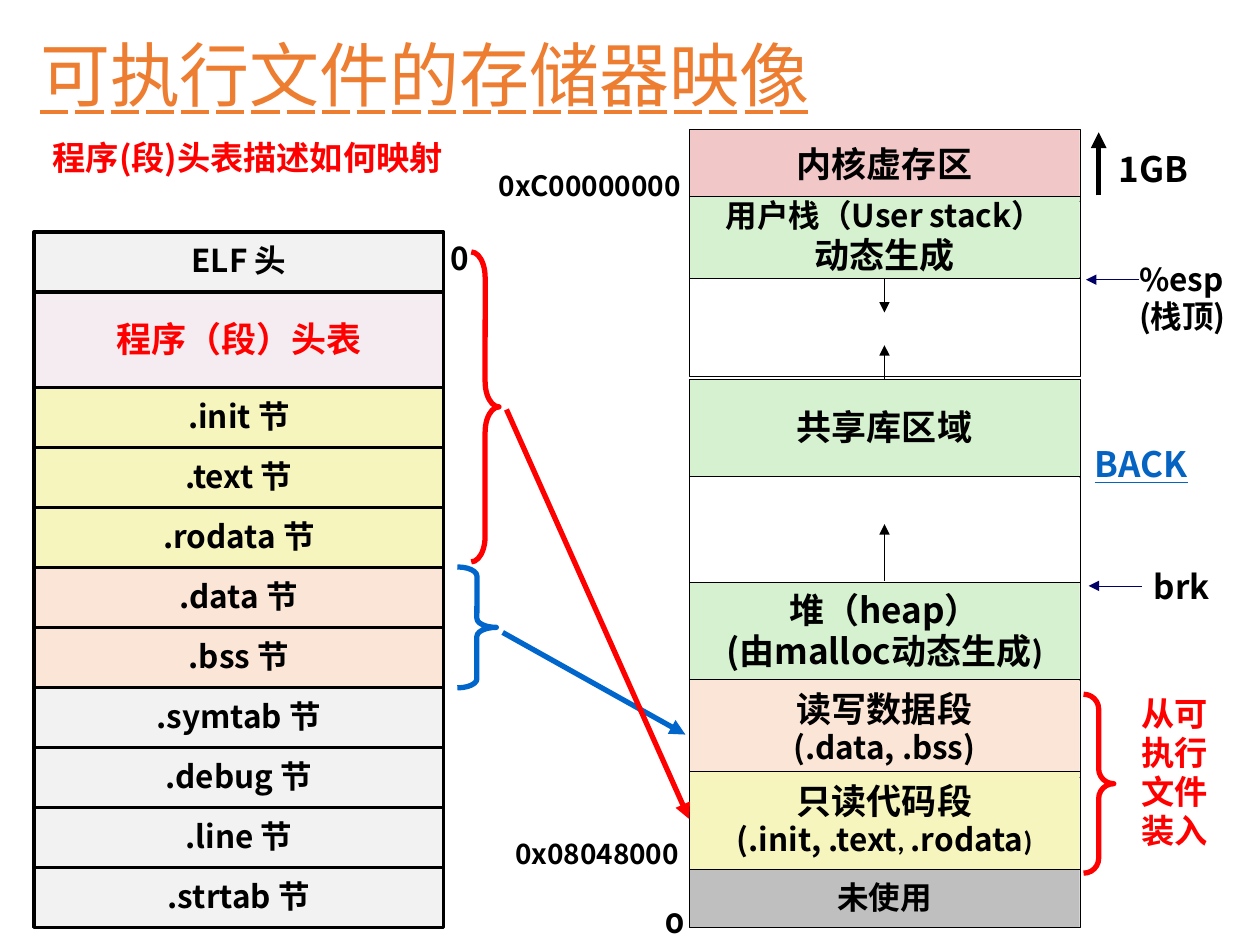
"""Build the slide on the memory image of an executable file."""
import pptx
import pptx.dml.color
import pptx.enum.shapes
import pptx.enum.text
import pptx.oxml.ns
import pptx.util
from lxml import etree

Inches = pptx.util.Inches
Pt = pptx.util.Pt
RGBColor = pptx.dml.color.RGBColor
Shape = pptx.enum.shapes.MSO_SHAPE
Align = pptx.enum.text.PP_ALIGN
qn = pptx.oxml.ns.qn

BLACK = RGBColor(0x00, 0x00, 0x00)
WHITE = RGBColor(0xFF, 0xFF, 0xFF)
RED = RGBColor(0xFF, 0x00, 0x00)
BLUE = RGBColor(0x00, 0x66, 0xCC)
NAVY = RGBColor(0x00, 0x00, 0x66)
LINK = RGBColor(0x05, 0x63, 0xC1)
ORANGE = RGBColor(0xED, 0x7D, 0x31)
PINK = RGBColor(0xF1, 0xC7, 0xC7)
GREEN = RGBColor(0xD5, 0xF1, 0xCF)
PEACH = RGBColor(0xFB, 0xE5, 0xD6)
YELLOW = RGBColor(0xF6, 0xF5, 0xBD)
PALE = RGBColor(0xF2, 0xF2, 0xF2)
GRAY = RGBColor(0xBF, 0xBF, 0xBF)
PLUM = RGBColor(0x99, 0x33, 0x66)
SANS = "Noto Sans CJK SC"
LATIN = "Calibri"


def write(shape, paras, tint=BLACK, align=Align.LEFT, space=0.98, wrap=False):
    frame = shape.text_frame
    frame.word_wrap = wrap
    for i, parts in enumerate(paras):
        para = frame.add_paragraph() if i else frame.paragraphs[0]
        para.alignment = align
        para.line_spacing = space
        for text, size, face in parts:
            run = para.add_run()
            run.text = text
            run.font.size = Pt(size)
            run.font.name = face
            run.font.bold = True
            run.font.color.rgb = tint
            east = etree.SubElement(run.font._element, qn("a:ea"))
            east.set("typeface", SANS)


def arrow(x1, y1, x2, y2, tint, width):
    line = slide.shapes.add_connector(
        pptx.enum.shapes.MSO_CONNECTOR.STRAIGHT,
        Inches(x1), Inches(y1), Inches(x2), Inches(y2))
    line.line.color.rgb = tint
    line.line.width = Pt(width)
    etree.SubElement(line.line._get_or_add_ln(), qn("a:tailEnd")).set("type", "triangle")
    etree.SubElement(line._element.spPr, qn("a:effectLst"))


deck = pptx.Presentation()
deck.slide_width = Inches(10)
deck.slide_height = Inches(7.5)
slide = deck.slides.add_slide(deck.slide_layouts[6])

step = (7.36 - 1.84 - 0.76) / 10
parts = [
    ("ELF 头", PALE), ("程序（段）头表", PLUM),
    (".init 节", YELLOW), (".text 节", YELLOW), (".rodata 节", YELLOW),
    (".data 节", PEACH), (".bss 节", PEACH),
    (".symtab 节", PALE), (".debug 节", PALE), (".line 节", PALE), (".strtab 节", PALE),
]
boxes = [
    (2.2, 0.79, WHITE, []),
    (1.03, 0.57, PINK, [[("内核虚存区", 20, SANS)]]),
    (3.01, 0.78, GREEN, [[("共享库区域", 20, SANS)]]),
    (3.78, 0.84, WHITE, []),
    (4.62, 0.78, GREEN, [[("堆（heap）", 20, SANS)],
                         [("(由malloc动态生成", 20, SANS), (")", 20, LATIN)]]),
    (1.56, 0.65, GREEN, [[("用户栈（User stack）", 18, SANS)], [("动态生成", 20, LATIN)]]),
    (6.9, 0.46, GRAY, [[("未使用", 18, SANS)]]),
    (5.39, 0.78, PEACH, [[("读写数据段", 20, SANS)], [("(.data, .bss)", 18, SANS)]]),
    (6.12, 0.78, YELLOW, [[("只读代码段", 20, SANS)],
                          [("(.init, .text", 18, SANS), (", ", 16, LATIN),
                           (".rodata", 18, SANS), (")", 16, LATIN)]]),
]
cells = [(5.47, top, 3.1, high, fill, 0.25, BLACK, paras) for top, high, fill, paras in boxes]
top = 1.84
for name, fill in parts:
    head = fill == PLUM
    high = 0.76 if head else step
    cells.append((0.27, top, 3.25, high, fill, 2, RED if head else BLACK,
                  [[(name, 20 if head else 18, SANS)]]))
    top += high

for left, top, wide, high, fill, edge, tint, paras in cells:
    box = slide.shapes.add_shape(
        Shape.RECTANGLE, Inches(left), Inches(top), Inches(wide), Inches(high))
    box.shadow.inherit = False
    box.fill.solid()
    box.fill.fore_color.rgb = fill
    if fill == PLUM:
        tone = box._element.spPr.find(".//" + qn("a:srgbClr"))
        etree.SubElement(tone, qn("a:alpha")).set("val", "9000")
    box.line.color.rgb = BLACK
    box.line.width = Pt(edge)
    box.text_frame.vertical_anchor = pptx.enum.text.MSO_ANCHOR.MIDDLE
    write(box, paras, tint, Align.CENTER)

for x1, y1, x2, y2, tint, width in [
    (9.04, 2.22, 8.62, 2.22, NAVY, 0.25),
    (8.72, 1.55, 8.72, 1.05, BLACK, 3),
    (9.06, 4.65, 8.64, 4.65, NAVY, 0.25),
    (7.02, 4.61, 7.02, 4.16, BLACK, 0.25),
    (7.02, 3.01, 7.02, 2.74, BLACK, 0.25),
    (7.02, 2.21, 7.02, 2.48, BLACK, 0.25),
    (3.99, 5.02, 5.44, 5.83, BLUE, 3),
    (4.02, 3.25, 5.47, 6.5, RED, 3),
]:
    arrow(x1, y1, x2, y2, tint, width)

for left, top, wide, high, bend, tint in [
    (8.6, 5.51, 0.24, 1.42, 0.49, RED),
    (3.63, 4.5, 0.31, 0.96, 0.23, BLUE),
    (3.74, 2, 0.22, 2.46, 0.92, RED),
]:
    brace = slide.shapes.add_shape(
        Shape.RIGHT_BRACE, Inches(left), Inches(top), Inches(wide), Inches(high))
    brace.shadow.inherit = False
    brace.adjustments[0] = bend
    brace.adjustments[1] = 0.5
    brace.fill.background()
    brace.line.color.rgb = tint
    brace.line.width = Pt(3)

for left, top, wide, high, lines, size, face, tint, space, wrap in [
    (0.22, 0.2, 8.68, 0.77, ["可执行文件的存储器映像"], 40, SANS, ORANGE, 1, True),
    (0.32, 1.04, 3.57, 0.42, ["程序(段)头表描述如何映射"], 19, SANS, RED, 1, True),
    (3.48, 1.86, 0.35, 0.4, ["0"], 18, SANS, BLACK, 0.98, True),
    (9.04, 2.04, 0.8, 0.68, ["%esp", "(栈顶)"], 18, SANS, BLACK, 0.98, True),
    (9.06, 4.47, 0.64, 0.4, ["brk"], 19, SANS, BLACK, 0.94, False),
    (3.86, 1.31, 1.71, 0.35, ["0xC00000000"], 16, SANS, BLACK, 0.94, False),
    (3.99, 6.61, 1.56, 0.35, ["0x08048000"], 16, SANS, BLACK, 0.94, False),
    (5.18, 7.15, 0.35, 0.36, ["0"], 16, "Montserrat", BLACK, 0.98, False),
    (8.96, 5.47, 0.82, 1.34, ["从可执行文件装入"], 19, LATIN, RED, 0.98, True),
    (8.59, 3.46, 1.03, 0.43, ["BACK"], 20, SANS, LINK, 1, True),
    (8.78, 1.12, 0.92, 0.43, ["1GB"], 20, SANS, BLACK, 1, True),
]:
    label = slide.shapes.add_textbox(Inches(left), Inches(top), Inches(wide), Inches(high))
    frame = label.text_frame
    frame.auto_size = pptx.enum.text.MSO_AUTO_SIZE.SHAPE_TO_FIT_TEXT
    write(label, [[(text, size, face)] for text in lines], tint, space=space, wrap=wrap)
    font = frame.paragraphs[0].runs[0].font
    if tint == ORANGE:
        font.bold = False
        font.underline = pptx.enum.text.MSO_UNDERLINE.DASH_LONG_LINE
    elif tint == LINK:
        font.underline = True
    elif len(lines) > 1:
        frame.margin_left = frame.margin_right = Inches(0)
        frame.paragraphs[0].line_spacing = 0.94

deck.save("out.pptx")
